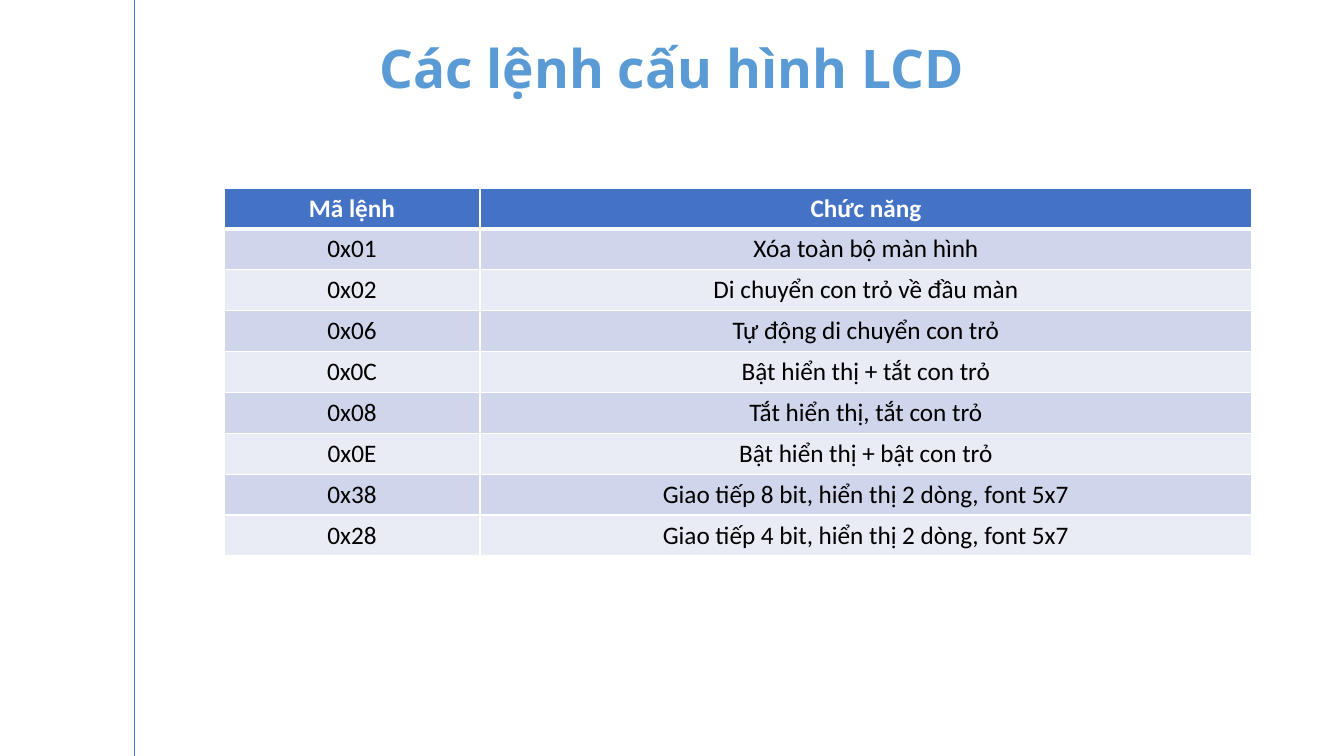
from dataclasses import dataclass
from lxml.etree import SubElement
from pptx import Presentation
from pptx.dml.color import RGBColor
from pptx.enum.shapes import MSO_CONNECTOR
from pptx.enum.text import MSO_ANCHOR, PP_ALIGN
from pptx.oxml.ns import qn
from pptx.util import Pt

TITLE = "Các lệnh cấu hình LCD"
HEADINGS = ("Mã lệnh", "Chức năng")
COMMANDS = [
    ("0x01", "Xóa toàn bộ màn hình"),
    ("0x02", "Di chuyển con trỏ về đầu màn"),
    ("0x06", "Tự động di chuyển con trỏ"),
    ("0x0C", "Bật hiển thị + tắt con trỏ"),
    ("0x08", "Tắt hiển thị, tắt con trỏ"),
    ("0x0E", "Bật hiển thị + bật con trỏ"),
    ("0x38", "Giao tiếp 8 bit, hiển thị 2 dòng, font 5x7"),
    ("0x28", "Giao tiếp 4 bit, hiển thị 2 dòng, font 5x7"),
]


@dataclass(frozen=True)
class Theme:
    title_font: str = "Noto Sans"
    body_font: str = "Calibri"
    title_size: int = 38
    body_size: int = 18
    title: str = "5B9BD5"
    accent: str = "4472C4"
    white: str = "FFFFFF"
    black: str = "000000"
    bands: tuple = ("CFD5EA", "E9EBF5")
    rule_width: float = 0.5
    border_width: int = 1
    heading_border_width: int = 3


THEME = Theme()
SLIDE_SIZE = (1344, 756)
RULE_X = 134
TITLE_BOX = (42, 17, 1259, 88)
TABLE_BOX = (224, 188, 1028, 368)
CODE_WIDTH = 256


def px(length):
    return round(length * 914400 / 100.8)


def color(value):
    return RGBColor.from_string(value)


def write(paragraph, text, font, size, ink, bold):
    paragraph.text = text
    paragraph.alignment = PP_ALIGN.CENTER
    paragraph.font.name = font
    paragraph.font.size = Pt(size)
    paragraph.font.color.rgb = color(ink)
    paragraph.font.bold = bold


def set_borders(cell, widths):
    properties = cell._tc.get_or_add_tcPr()
    for position, (side, width) in enumerate(widths.items()):
        border = properties.makeelement(qn(f"a:{side}"), {"w": str(Pt(width))})
        fill = SubElement(border, qn("a:solidFill"))
        SubElement(fill, qn("a:srgbClr"), val=THEME.white)
        properties.insert(position, border)


prs = Presentation()
prs.slide_width, prs.slide_height = map(px, SLIDE_SIZE)
slide = prs.slides.add_slide(prs.slide_layouts[6])

rule = slide.shapes.add_connector(
    MSO_CONNECTOR.STRAIGHT, px(RULE_X), 0, px(RULE_X), prs.slide_height)
rule.line.color.rgb = color(THEME.accent)
rule.line.width = Pt(THEME.rule_width)
SubElement(rule._element.spPr, qn("a:effectLst"))

title = slide.shapes.add_textbox(*map(px, TITLE_BOX)).text_frame
title.word_wrap = True
title.vertical_anchor = MSO_ANCHOR.BOTTOM
write(title.paragraphs[0], TITLE, THEME.title_font, THEME.title_size, THEME.title, True)
title.paragraphs[0].line_spacing = 0.9

rows = [HEADINGS, *COMMANDS]
table = slide.shapes.add_table(len(rows), len(HEADINGS), *map(px, TABLE_BOX)).table
for column, width in zip(table.columns, (CODE_WIDTH, TABLE_BOX[2] - CODE_WIDTH)):
    column.width = px(width)

for r, row in enumerate(rows):
    heading = r == 0
    fill = THEME.accent if heading else THEME.bands[(r - 1) % 2]
    ink = THEME.white if heading else THEME.black
    borders = dict.fromkeys(("lnL", "lnR", "lnT", "lnB"), THEME.border_width)
    if r < 2:
        borders["lnB" if heading else "lnT"] = THEME.heading_border_width
    for c, text in enumerate(row):
        cell = table.cell(r, c)
        cell.fill.solid()
        cell.fill.fore_color.rgb = color(fill)
        set_borders(cell, borders)
        write(cell.text_frame.paragraphs[0], text, THEME.body_font,
              THEME.body_size, ink, heading)

prs.save("out.pptx")
